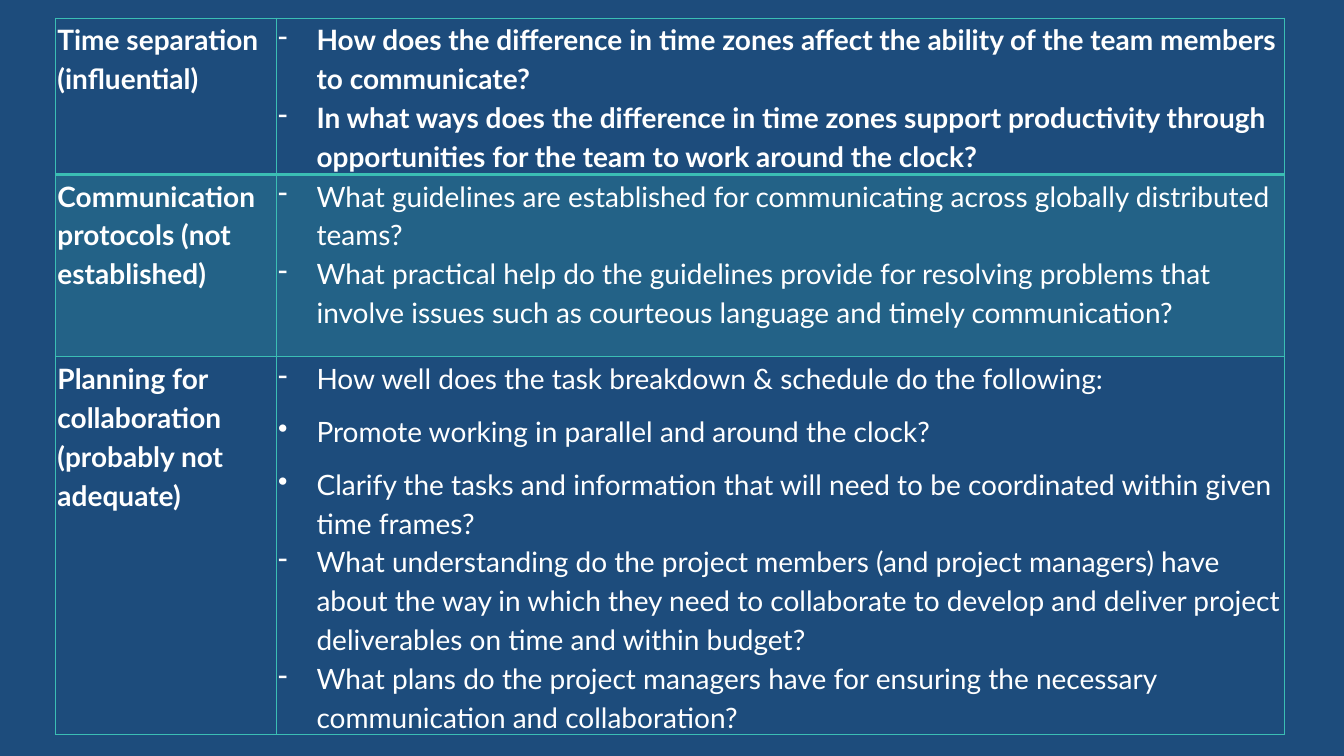
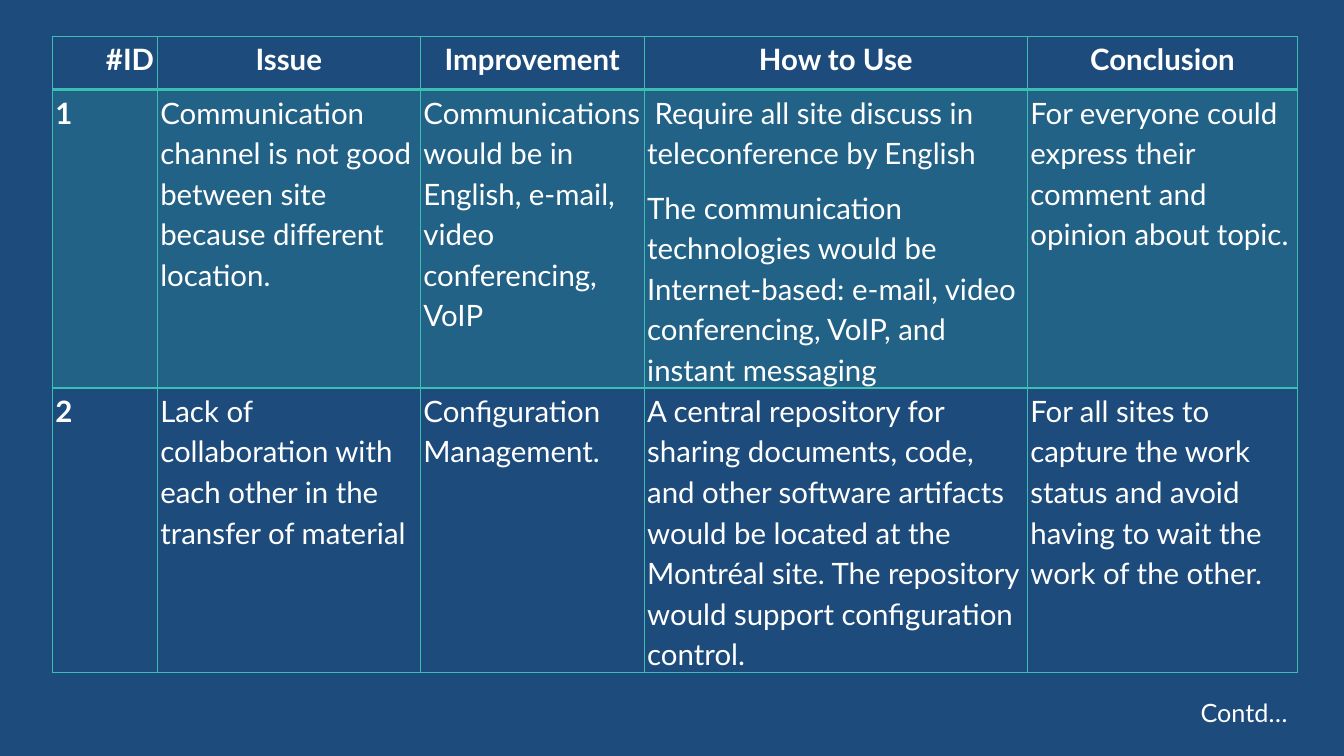
from lxml import etree
from pptx import Presentation
from pptx import util as u
from pptx.dml.color import RGBColor
from pptx.enum import text
from pptx.oxml import ns

NAVY = RGBColor(0x1D, 0x4C, 0x7C)
TEAL = RGBColor(0x3B, 0xBE, 0xB4)
WHITE = RGBColor(0xFF, 0xFF, 0xFF)
FONT = "Lato"
BAND_ALPHA = 20000
HANG = u.Inches(0.38)

prs = Presentation()
prs.slide_width, prs.slide_height = u.Inches(13.33), u.Inches(7.5)
prs.slide_master.background.fill.solid()
prs.slide_master.background.fill.fore_color.rgb = NAVY
blank = prs.slide_layouts[6]


def style(p, size, bold):
    for r in p.runs:
        r.font.name, r.font.size, r.font.bold = FONT, u.Pt(size), bold
        r.font.color.rgb = WHITE


def add_grid(slide, left, top, cols, rows, cells, size, inset):
    frame = slide.shapes.add_table(len(rows), len(cols), u.Inches(left), u.Inches(top),
                                   u.Inches(sum(cols)), u.Inches(sum(rows)))
    table = frame.table
    table.first_row = table.horz_banding = False
    for column, width in zip(table.columns, cols):
        column.width = u.Inches(width)
    for i, (row, height) in enumerate(zip(table.rows, rows)):
        row.height = u.Inches(height)
        for j, cell in enumerate(row.cells):
            cell.margin_left = cell.margin_right = u.Inches(inset)
            cell.margin_top = cell.margin_bottom = 0
            tcPr = cell._tc.get_or_add_tcPr()
            for side in "LRTB":
                heavy = (side == "B" and i == 0) or (side == "T" and i == 1)
                ln = etree.SubElement(tcPr, ns.qn("a:ln" + side), w=str(u.Pt(2 if heavy else 1)))
                line = etree.SubElement(ln, ns.qn("a:solidFill"))
                etree.SubElement(line, ns.qn("a:srgbClr"), val=str(TEAL))
            if i == 1:
                cell.fill.solid()
                cell.fill.fore_color.rgb = TEAL
                color = tcPr.find(ns.qn("a:solidFill")).find(ns.qn("a:srgbClr"))
                etree.SubElement(color, ns.qn("a:alpha"), val=str(BAND_ALPHA))
            else:
                cell.fill.background()
            tf = cell.text_frame
            for n, (mark, words) in enumerate(cells[i][j]):
                p = tf.paragraphs[0] if n == 0 else tf.add_paragraph()
                p.text = words
                p.line_spacing = 1.15
                style(p, size, i == 0 or j == 0)
                if mark:
                    pPr = p._p.get_or_add_pPr()
                    pPr.set("marL", str(HANG))
                    pPr.set("indent", str(-HANG))
                    p.space_before = u.Pt(10 if mark == "•" else 0)
                    etree.SubElement(pPr, ns.qn("a:buChar"), char=mark)
                else:
                    p.space_after = u.Pt(10)
    return table


questions = [
    ("Time separation (influential)", [
        ("-", "How does the difference in time zones affect the ability of the team members to communicate?"),
        ("-", "In what ways does the difference in time zones support productivity through opportunities "
              "for the team to work around the clock?")]),
    ("Communication protocols (not established)", [
        ("-", "What guidelines are established for communicating across globally distributed teams?"),
        ("-", "What practical help do the guidelines provide for resolving problems that involve issues "
              "such as courteous language and timely communication?")]),
    ("Planning for collaboration (probably not adequate)", [
        ("-", "How well does the task breakdown & schedule do the following:"),
        ("•", "Promote working in parallel and around the clock?"),
        ("•", "Clarify the tasks and information that will need to be coordinated within given time frames?"),
        ("-", "What understanding do the project members (and project managers) have about the way in "
              "which they need to collaborate to develop and deliver project deliverables on time and "
              "within budget?"),
        ("-", "What plans do the project managers have for ensuring the necessary communication and "
              "collaboration?")]),
]
s = prs.slides.add_slide(blank)
add_grid(s, 0.55, 0.18, [2.19, 10], [1.55, 1.81, 3.75],
         [[[("", topic)], points] for topic, points in questions], 20, 0.02)

issues = [
    [["#ID"], ["Issue"], ["Improvement"], ["How to Use"], ["Conclusion"]],
    [["1"],
     ["Communication channel is not good between site because different location."],
     ["Communications would be in English, e-mail, video conferencing, VoIP"],
     [" Require all site discuss in teleconference by English",
      "The communication technologies would be Internet-based: e-mail, video conferencing, VoIP, "
      "and instant messaging"],
     ["For everyone could express their comment and opinion about topic."]],
    [["2"],
     ["Lack of collaboration with each other in the transfer of material"],
     ["Configuration Management."],
     ["A central repository for sharing documents, code, and other software artifacts would be "
      "located at the Montréal site. The repository would support configuration control."],
     ["For all sites to capture the work status and avoid having to wait the work of the other."]],
]
s = prs.slides.add_slide(blank)
table = add_grid(s, 0.52, 0.36, [1.04, 2.61, 2.22, 3.8, 2.68], [0.53, 2.96, 2.82],
                 [[[("", words) for words in cell] for cell in row] for row in issues], 21, 0.03)
for cell in table.rows[0].cells:
    cell.text_frame.paragraphs[0].alignment = text.PP_ALIGN.CENTER
table.cell(0, 0).text_frame.paragraphs[0]._p.get_or_add_pPr().set("marL", str(u.Inches(0.5)))

sp = s.shapes.add_textbox(u.Inches(11.81), u.Inches(6.87), u.Inches(1.06), u.Inches(0.4))
tf = sp.text_frame
tf.word_wrap = False
tf.auto_size = text.MSO_AUTO_SIZE.SHAPE_TO_FIT_TEXT
tf.text = "Contd…"
style(tf.paragraphs[0], 18, False)

prs.save("out.pptx")
